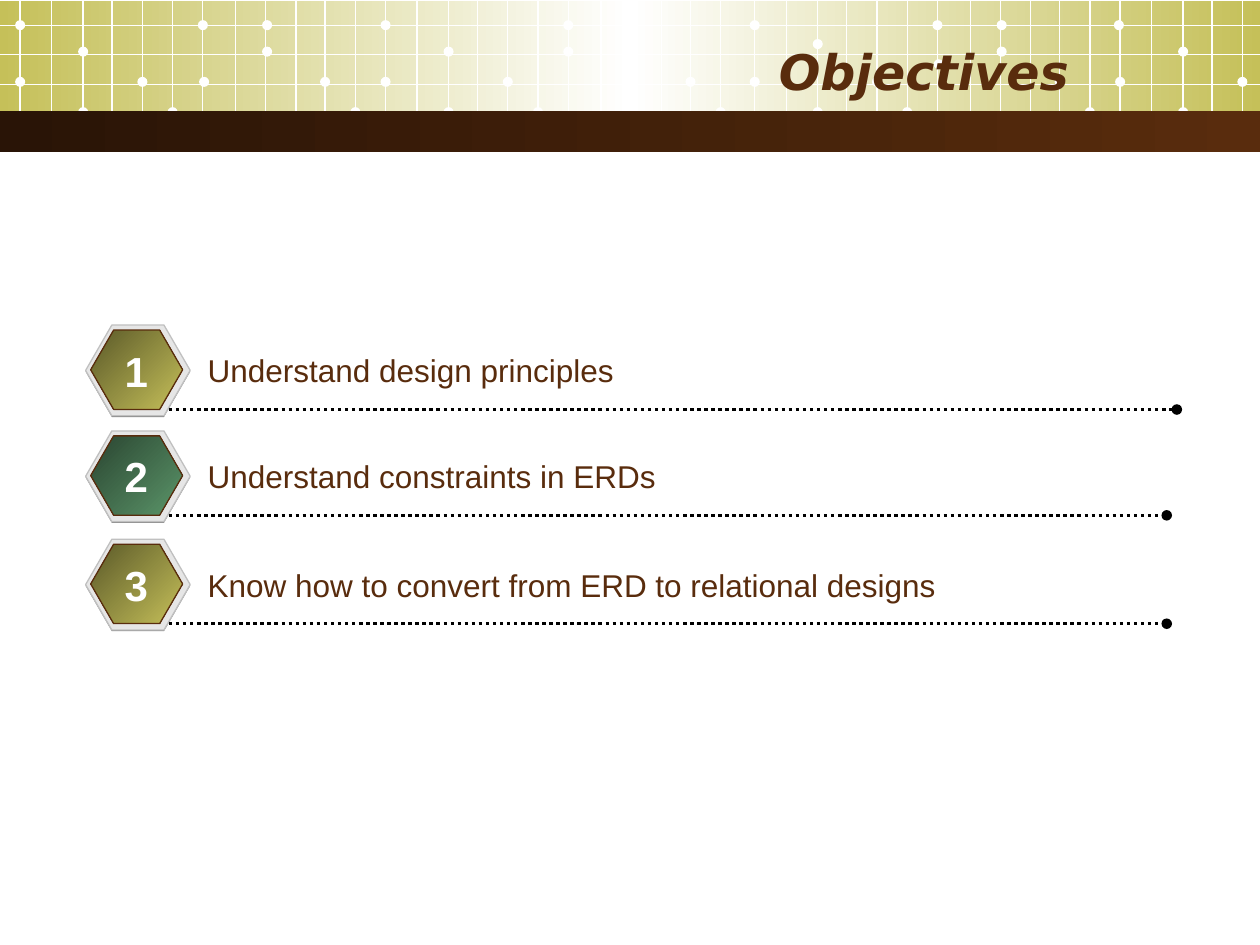
from dataclasses import dataclass

from lxml import etree
from pptx import Presentation
from pptx.dml.color import RGBColor
from pptx.enum.dml import MSO_LINE
from pptx.enum.shapes import MSO_CONNECTOR, MSO_SHAPE
from pptx.enum.text import MSO_ANCHOR, PP_ALIGN
from pptx.oxml.ns import qn
from pptx.util import Inches, Pt

RECTANGLE, OVAL, HEXAGON = MSO_SHAPE.RECTANGLE, MSO_SHAPE.OVAL, MSO_SHAPE.HEXAGON
STRAIGHT = MSO_CONNECTOR.STRAIGHT
DOTTED = MSO_LINE.ROUND_DOT
LEFT, CENTER, RIGHT = PP_ALIGN.LEFT, PP_ALIGN.CENTER, PP_ALIGN.RIGHT
MIDDLE, TOP = MSO_ANCHOR.MIDDLE, MSO_ANCHOR.TOP

COLORS = {
    "white": "FFFFFF", "black": "000000", "brown": "592C0D", "dark brown": "291406",
    "olive": "C5C059", "dark olive": "5B5929", "green": "5B9569", "dark green": "2A4531",
    "shade": "808080", "plate": "E6E6E6", "plate edge": "C0C0C0",
}

# The banner grid repeats a block of twelve vertical lines.
BLOCK_STARTS = (0.16, 3.06, 5.99, 8.89)
LINE_OFFSETS = (0, 0.25, 0.5, 0.73, 0.97, 1.21, 1.45, 1.71, 1.95, 2.19, 2.42, 2.66)
GRID_ROWS = (0.2, 0.43, 0.67, 0.89)
BANNER_BOTTOM = 1.1
DOT_SIZE = 0.08
# Centre height of each row of dots, then the centres along it.
DOT_ROWS = {
    0.2: (0.16, 1.61, 2.12, 3.06, 4.51, 5.01, 5.99, 7.44, 7.95, 8.88),
    0.35: (6.49,),
    0.41: (0.66, 2.12, 3.56, 4.51, 5.01, 7.95, 9.39),
    0.51: (7.45,),
    0.65: (0.16, 1.13, 1.62, 2.58, 3.06, 4.03, 5.48, 5.99, 6.96, 8.41, 8.89, 9.86),
    0.89: (0.66, 1.37, 2.82, 3.56, 4.27, 5.72, 6.49, 7.2, 8.65, 9.39),
}


@dataclass
class Box:
    left: float
    top: float
    width: float
    height: float

    def lengths(self) -> list:
        return [Inches(v) for v in (self.left, self.top, self.width, self.height)]


@dataclass
class Style:
    size: float
    color: str = "brown"
    font: str = "Arial"
    bold: bool = False
    italic: bool = False
    align: PP_ALIGN = LEFT
    anchor: MSO_ANCHOR = TOP
    wrap: bool = True


@dataclass
class Objective:
    text: str
    top: float
    text_width: float
    line_end: float
    gradient: tuple


TITLE = Style(28, font="DejaVu Sans", bold=True, italic=True, align=RIGHT, anchor=MIDDLE)
NUMBER = Style(24, color="white", bold=True, align=CENTER, wrap=False)
BODY = Style(18)

OLIVE_GRADIENT = ("dark olive", "olive")
GREEN_GRADIENT = ("dark green", "green")
OBJECTIVES = (
    Objective("Understand design principles", 2.58, 5.31, 9.34, OLIVE_GRADIENT),
    Objective("Understand constraints in ERDs", 3.42, 7.86, 9.26, GREEN_GRADIENT),
    Objective("Know how to convert from ERD to relational designs",
              4.28, 7.64, 9.26, OLIVE_GRADIENT),
)


def rgb(name: str) -> RGBColor:
    return RGBColor.from_string(COLORS[name])


def fill_gradient(shape, names: tuple, angle: float) -> None:
    """Spread the named colours evenly; the angle is counter-clockwise."""
    shape.fill.gradient()
    shape.fill.gradient_angle = angle
    stops = shape._element.spPr.find(qn("a:gradFill")).find(qn("a:gsLst"))
    for stop in list(stops):
        stops.remove(stop)
    for index, name in enumerate(names):
        position = 100000 * index // (len(names) - 1)
        stop = etree.SubElement(stops, qn("a:gs"), pos=str(position))
        etree.SubElement(stop, qn("a:srgbClr"), val=COLORS[name])


def add_figure(slide, kind, box: Box, fill, edge: str = "", angle: float = 0):
    """Draw a preset shape; fill is a colour name or a tuple for a gradient."""
    shape = slide.shapes.add_shape(kind, *box.lengths())
    shape.shadow.inherit = False
    if isinstance(fill, tuple):
        fill_gradient(shape, fill, angle)
    else:
        shape.fill.solid()
        shape.fill.fore_color.rgb = rgb(fill)
    if edge:
        shape.line.color.rgb = rgb(edge)
        shape.line.width = Pt(0.75)
    else:
        shape.line.fill.background()
    return shape


def add_line(slide, start: tuple, end: tuple, color: str, width: float):
    points = [Inches(value) for value in (*start, *end)]
    connector = slide.shapes.add_connector(STRAIGHT, *points)
    connector.line.color.rgb = rgb(color)
    connector.line.width = Pt(width)
    etree.SubElement(connector._element.spPr, qn("a:effectLst"))
    return connector


def add_text(slide, box: Box, text: str, style: Style) -> None:
    text_frame = slide.shapes.add_textbox(*box.lengths()).text_frame
    text_frame.text = text
    text_frame.word_wrap = style.wrap
    text_frame.vertical_anchor = style.anchor
    paragraph = text_frame.paragraphs[0]
    paragraph.alignment = style.align
    font = paragraph.runs[0].font
    font.name = style.font
    font.size = Pt(style.size)
    font.bold = style.bold
    font.italic = style.italic
    font.color.rgb = rgb(style.color)


def add_banner(slide) -> None:
    add_figure(slide, RECTANGLE, Box(0, 0.01, 10, 1.02), ("olive", "white", "olive"))
    for middle, centers in DOT_ROWS.items():
        for center in centers:
            dot = Box(center - DOT_SIZE / 2, middle - DOT_SIZE / 2, DOT_SIZE, DOT_SIZE)
            add_figure(slide, OVAL, dot, "white")
    for start in BLOCK_STARTS:
        for x in (start + offset for offset in LINE_OFFSETS):
            if x < 10:
                add_line(slide, (x, 0), (x, BANNER_BOTTOM), "white", 0.75)
    for y in GRID_ROWS:
        add_line(slide, (0, y), (10, y), "white", 0.75)
    add_figure(slide, RECTANGLE, Box(0, 0.88, 10, 0.33), ("dark brown", "brown"))


def add_hexagon(slide, box: Box, fill, edge: str = "") -> None:
    shape = add_figure(slide, HEXAGON, box, fill, edge, angle=315)
    shape.adjustments[0] = 0.289


def add_objective(slide, number: int, objective: Objective) -> None:
    top = objective.top
    add_hexagon(slide, Box(0.68, top + 0.01, 0.83, 0.72), "shade")
    add_hexagon(slide, Box(0.68, top, 0.83, 0.72), "plate", "plate edge")
    add_hexagon(slide, Box(0.72, top + 0.04, 0.73, 0.63), objective.gradient, "brown")
    line_y = top + 0.67
    connector = add_line(slide, (1.34, line_y), (objective.line_end, line_y), "black", 2)
    connector.line.dash_style = DOTTED
    etree.SubElement(connector.line._get_or_add_ln(), qn("a:tailEnd"), type="oval")
    add_text(slide, Box(1.55, top + 0.16, objective.text_width, 0.4), objective.text, BODY)
    add_text(slide, Box(0.89, top + 0.11, 0.38, 0.5), str(number), NUMBER)


def main() -> None:
    presentation = Presentation()
    presentation.slide_width = Inches(10)
    presentation.slide_height = Inches(7.5)
    slide = presentation.slides.add_slide(presentation.slide_layouts[6])
    add_banner(slide)
    add_text(slide, Box(0.5, 0.25, 8.08, 0.62), "Objectives", TITLE)
    for number, objective in enumerate(OBJECTIVES, start=1):
        add_objective(slide, number, objective)
    presentation.save("out.pptx")


if __name__ == "__main__":
    main()
